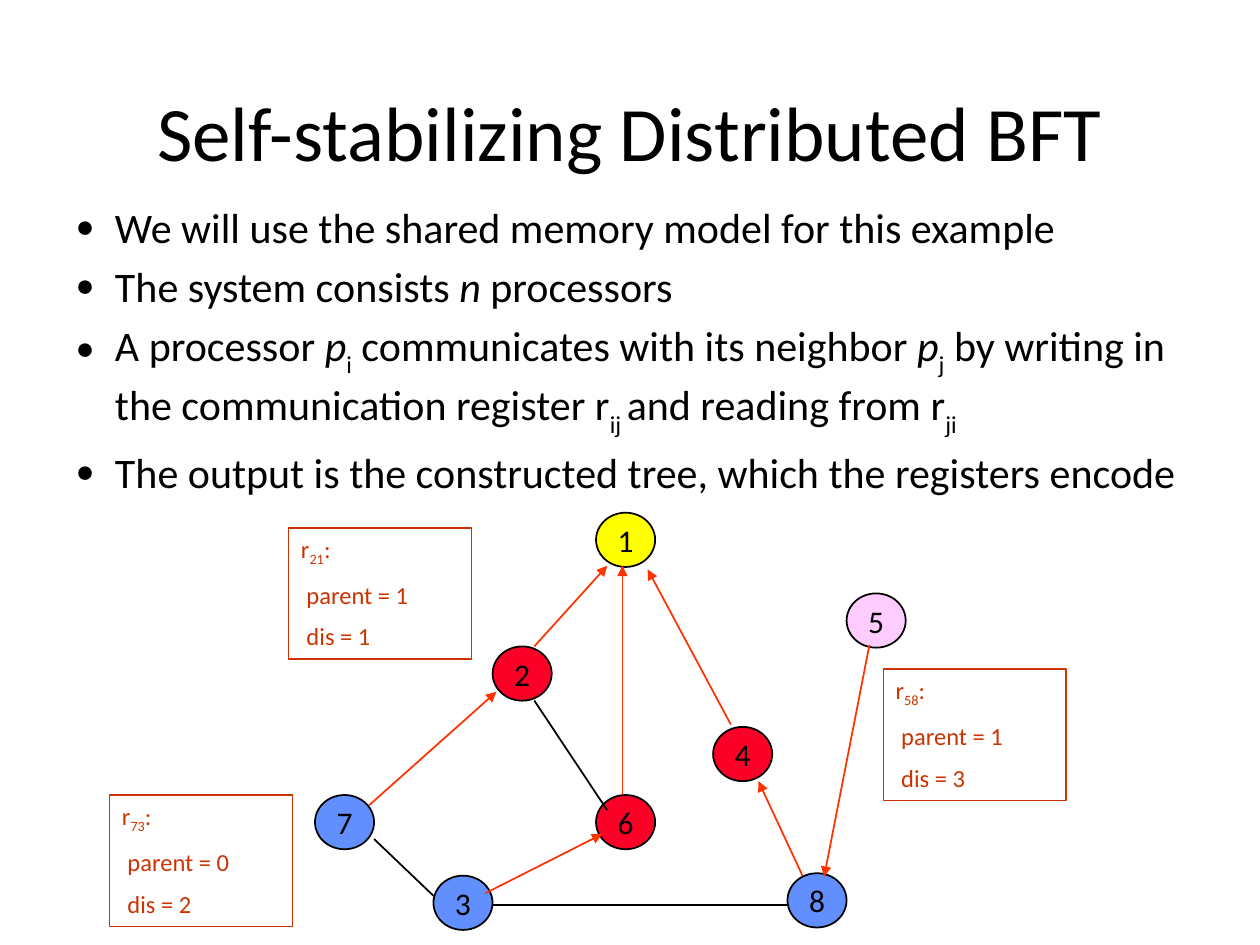
from lxml import etree
from pptx import Presentation
from pptx.dml.color import RGBColor
from pptx.enum import shapes, text
from pptx.oxml import ns
from pptx.util import Pt

COLORS = {
    "ink": "000000",
    "arrow": "FF3300",
    "register": "CC3300",
    "root": "FFFF00",
    "level1": "FC0128",
    "level2": "618FFD",
    "level3": "FFCCFF",
}
FONT = "Calibri"
NODE_SIZE = (33.8, 31)
REGISTER_SIZE = (104.5, 75)

BULLETS = [
    ["We will use the shared memory model for this example"],
    ["The system consists ", ("n", "italic"), " processors"],
    ["A processor ", ("p", "italic"), ("i", "sub"),
     " communicates with its neighbor ", ("p", "italic"), ("j", "sub"),
     " by writing in the communication register r", ("ij ", "sub"),
     "and reading from r", ("ji", "sub")],
    ["The output is the constructed tree, which the registers encode"],
]

# label, left, top, colour
NODES = [
    ("1", 340.6, 293, "root"),
    ("4", 407.5, 415.4, "level1"),
    ("5", 483.8, 339.1, "level3"),
    ("8", 450, 499, "level2"),
    ("6", 340.6, 454.3, "level1"),
    ("2", 281.5, 369.4, "level1"),
    ("3", 247.7, 500.4, "level2"),
    ("7", 180, 454.3, "level2"),
]

# child end, parent end
TREE_EDGES = [
    ((305.3, 369.4), (347, 323.3)),
    ((355.7, 454.3), (355.7, 323.3)),
    ((277.2, 510.5), (344.2, 476.6)),
    ((211, 460.1), (283.7, 395.3)),
    ((496.8, 368.6), (470.9, 501.1)),
    ((417.6, 414), (370.1, 325.4)),
    ((458.6, 500.4), (433.4, 446.4)),
]
OTHER_EDGES = [
    ((213.8, 479.5), (247.7, 511.9)),
    ((281.5, 517), (450, 517)),
    ((305.3, 400.3), (347, 463)),
]

# register index, parent, distance, left, top
REGISTERS = [
    ("21", 1, 1, 164.9, 301.7),
    ("58", 1, 3, 504.7, 382.3),
    ("73", 0, 2, 62.6, 454.3),
]


def rgb(name):
    return RGBColor.from_string(COLORS[name])


def write(frame, paragraphs, size, color="ink", align=text.PP_ALIGN.LEFT,
          anchor=text.MSO_ANCHOR.TOP, before=0, sub=-30, wrap=True):
    """Fill a frame; a run is a string or a (string, style) pair."""
    frame.auto_size = text.MSO_AUTO_SIZE.NONE
    frame.word_wrap = wrap
    frame.vertical_anchor = anchor
    for index, runs in enumerate(paragraphs):
        paragraph = frame.add_paragraph() if index else frame.paragraphs[0]
        paragraph.alignment = align
        paragraph.space_before = Pt(before)
        for part in runs:
            words, style = (part, None) if isinstance(part, str) else part
            run = paragraph.add_run()
            run.text = words
            run.font.name = FONT
            run.font.size = Pt(size)
            run.font.color.rgb = rgb(color)
            run.font.italic = style == "italic"
            if style == "sub":
                run._r.get_or_add_rPr().set("baseline", str(sub * 1000))


def place(shape, left, top, width, height):
    shape.left, shape.top = Pt(left), Pt(top)
    shape.width, shape.height = Pt(width), Pt(height)


def add_bullet(paragraph):
    props = paragraph._p.get_or_add_pPr()
    props.set("marL", str(Pt(22.5)))
    props.set("indent", str(Pt(-22.5)))
    etree.SubElement(props, ns.qn("a:buSzPct")).set("val", "75000")
    etree.SubElement(props, ns.qn("a:buChar")).set("char", "●")


def add_outlined(slide, kind, left, top, size, line, width, fill=None):
    shape = slide.shapes.add_shape(kind, Pt(left), Pt(top), *map(Pt, size))
    shape.shadow.inherit = False
    if fill:
        shape.fill.solid()
        shape.fill.fore_color.rgb = rgb(fill)
    else:
        shape.fill.background()
    shape.line.color.rgb = rgb(line)
    shape.line.width = Pt(width)
    return shape


def add_node(slide, label, left, top, color):
    node = add_outlined(slide, shapes.MSO_SHAPE.OVAL, left, top, NODE_SIZE,
                        "ink", 1, color)
    write(node.text_frame, [[label]], 18, align=text.PP_ALIGN.CENTER,
          anchor=text.MSO_ANCHOR.MIDDLE, wrap=False)


def add_edge(slide, start, end, color, arrow=False):
    edge = slide.shapes.add_connector(shapes.MSO_CONNECTOR.STRAIGHT,
                                      *map(Pt, start + end))
    edge.line.color.rgb = rgb(color)
    edge.line.width = Pt(1)
    if arrow:
        etree.SubElement(edge.line._get_or_add_ln(),
                         ns.qn("a:tailEnd")).set("type", "triangle")
    etree.SubElement(edge._element.spPr, ns.qn("a:effectLst"))


def add_register(slide, index, parent, distance, left, top):
    register = add_outlined(slide, shapes.MSO_SHAPE.RECTANGLE, left, top,
                            REGISTER_SIZE, "register", 0.75)
    lines = [["r", (index, "sub"), ":"],
             [f" parent = {parent}"],
             [f" dis = {distance}"]]
    write(register.text_frame, lines, 14, color="register", before=7, sub=-25)


def main():
    deck = Presentation()
    deck.slide_width, deck.slide_height = Pt(720), Pt(540)
    slide = deck.slides.add_slide(deck.slide_layouts[1])

    # Title and bullets
    title, body = slide.placeholders
    place(title, 0, 32.4, 720, 84.2)
    write(title.text_frame, [["Self-stabilizing Distributed BFT"]], 44,
          align=text.PP_ALIGN.CENTER, anchor=text.MSO_ANCHOR.MIDDLE)
    place(body, 36, 111.6, 653, 325.4)
    write(body.text_frame, BULLETS, 24, before=4.8)
    for paragraph in body.text_frame.paragraphs:
        add_bullet(paragraph)

    # Processor graph: arrows point from child to parent
    for node in NODES:
        add_node(slide, *node)
    for child, parent in TREE_EDGES:
        add_edge(slide, child, parent, "arrow", arrow=True)
    for start, end in OTHER_EDGES:
        add_edge(slide, start, end, "ink")

    # Register contents
    for register in REGISTERS:
        add_register(slide, *register)

    deck.save("out.pptx")


if __name__ == "__main__":
    main()
